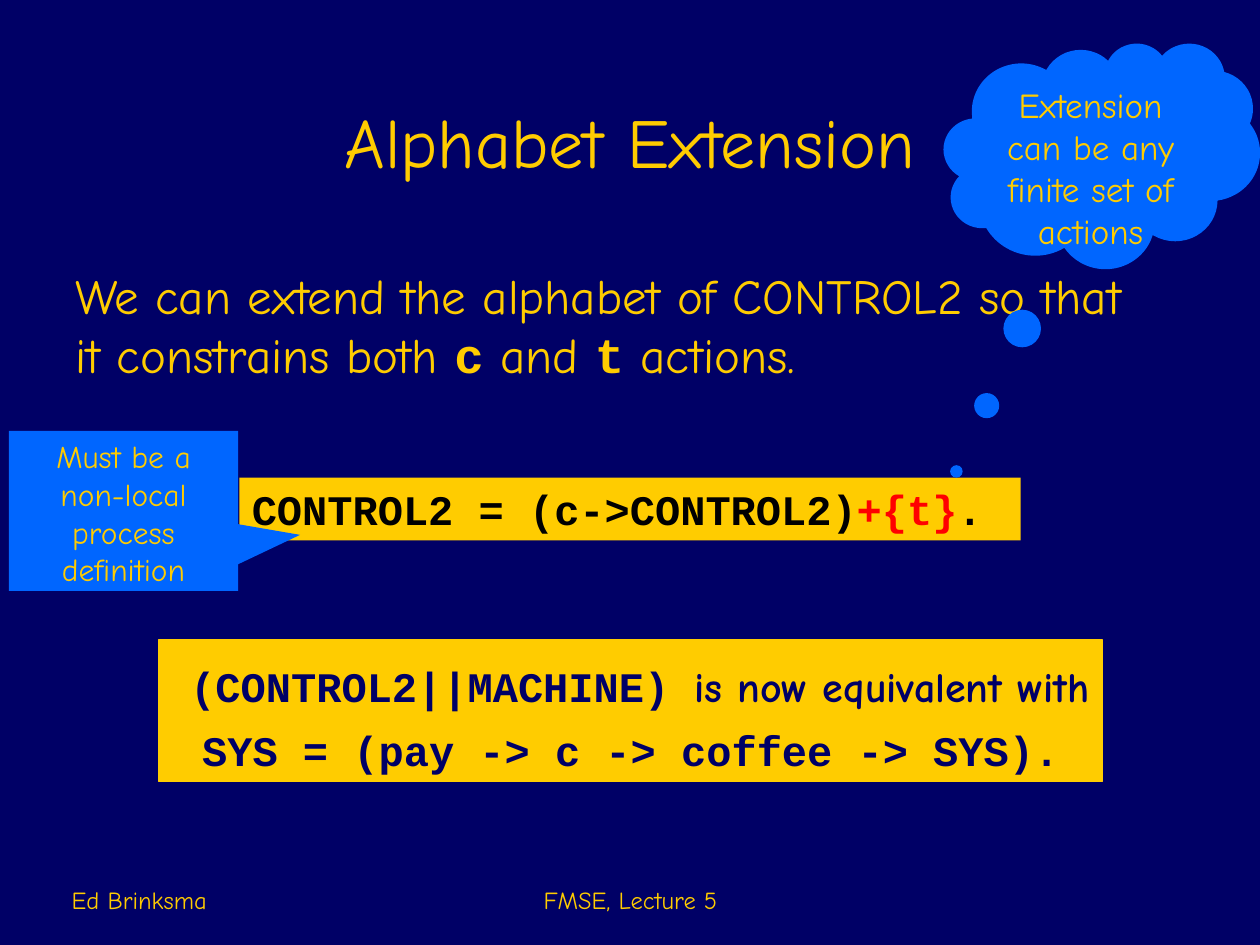
from pptx import Presentation
from pptx import util as u
from pptx.dml.color import RGBColor
from pptx.enum import shapes, text

PX = 9144  # EMU per px, 100 px to the inch
COLORS = {"navy": "000066", "gold": "FFCC00", "blue": "0066FF",
          "black": "010000", "red": "FF0000"}
SANS, MONO = "Comic Neue", "Courier New"
LEFT, CENTER = text.PP_ALIGN.LEFT, text.PP_ALIGN.CENTER
TOP, BOTTOM = text.MSO_ANCHOR.TOP, text.MSO_ANCHOR.BOTTOM
SHAPE = shapes.MSO_SHAPE


def color(name):
    return RGBColor.from_string(COLORS[name])


def run(words, size, tint="gold", font=SANS, bold=False):
    return words, size, tint, font, bold


def write(box, paras, align=LEFT, anchor=TOP, wrap=True, gap=0):
    """Fill a box with paragraphs, each a list of runs."""
    frame = box.text_frame
    frame.word_wrap = wrap
    frame.auto_size = text.MSO_AUTO_SIZE.NONE
    frame.vertical_anchor = anchor
    frame.margin_left = frame.margin_right = 10 * PX
    frame.margin_top = frame.margin_bottom = 5 * PX
    for index, runs in enumerate(paras):
        para = frame.add_paragraph() if index else frame.paragraphs[0]
        para.alignment = align
        if index:
            para.space_before = u.Pt(gap)
        for words, size, tint, font, bold in runs:
            span = para.add_run()
            span.text = words
            span.font.size = u.Pt(size)
            span.font.name = font
            span.font.bold = bold
            span.font.color.rgb = color(tint)


def add_label(page, area, runs, **layout):
    box = page.shapes.add_textbox(*(n * PX for n in area))
    write(box, [runs], **layout)


def add_panel(page, area, paras, fill, kind=SHAPE.RECTANGLE, line=None,
              adjust=(), **layout):
    box = page.shapes.add_shape(kind, *(n * PX for n in area))
    box.shadow.inherit = False
    box.fill.solid()
    box.fill.fore_color.rgb = color(fill)
    if line:
        box.line.color.rgb = color(line)
        box.line.width = u.Pt(0.75)
    else:
        box.line.fill.background()
    for index, value in enumerate(adjust):
        box.adjustments[index] = value
    write(box, paras, **layout)


def add_heading(page):
    add_label(page, (75, 25, 850, 125), [run("Alphabet Extension", 40)],
              align=CENTER, anchor=BOTTOM)
    add_label(page, (50, 206, 858, 120), [
        run("We can extend the alphabet of CONTROL2 so that it constrains both ", 28),
        run("c", 28, font=MONO, bold=True),
        run(" and ", 28),
        run("t", 28, font=MONO, bold=True),
        run(" actions.", 28)])


def add_definitions(page):
    # Extended process definition
    add_panel(page, (190, 379, 620, 50), [[
        run("CONTROL2 = (c->CONTROL2)", 24, "black", MONO, True),
        run("+{t}", 24, "red", MONO, True),
        run(".", 24, "black", MONO, True)]], "gold", wrap=False)
    # Equivalent system
    add_panel(page, (126, 508, 749, 112), [
        [run(" ", 32, "navy"),
         run("(CONTROL2||MACHINE) ", 24, "navy", MONO, True),
         run("is now equivalent with", 24, "navy", bold=True)],
        [run("SYS = (pay -> c -> coffee -> SYS).", 24, "navy", MONO, True)]],
        "gold", line="gold", align=CENTER, wrap=False, gap=6)


def add_callouts(page):
    add_panel(page, (7, 342, 182, 127),
              [[run("Must be a non-local process definition", 18)]], "blue",
              SHAPE.RECTANGULAR_CALLOUT, adjust=(0.77, 0.15), align=CENTER)
    add_panel(page, (749, 34, 251, 179),
              [[run("Extension can be any finite set of actions", 20)]], "blue",
              SHAPE.CLOUD_CALLOUT, adjust=(-0.46, 1.4), align=CENTER)


def add_footer(page):
    add_label(page, (342, 681, 317, 50), [run("FMSE, Lecture 5", 14)],
              align=CENTER, anchor=BOTTOM)
    add_label(page, (47, 681, 208, 50), [run("Ed Brinksma", 14)], anchor=BOTTOM)


def main():
    deck = Presentation()
    deck.slide_width, deck.slide_height = 1000 * PX, 750 * PX
    page = deck.slides.add_slide(deck.slide_layouts[6])
    page.background.fill.solid()
    page.background.fill.fore_color.rgb = color("navy")
    add_heading(page)
    add_definitions(page)
    add_callouts(page)
    add_footer(page)
    deck.save("out.pptx")


if __name__ == "__main__":
    main()
